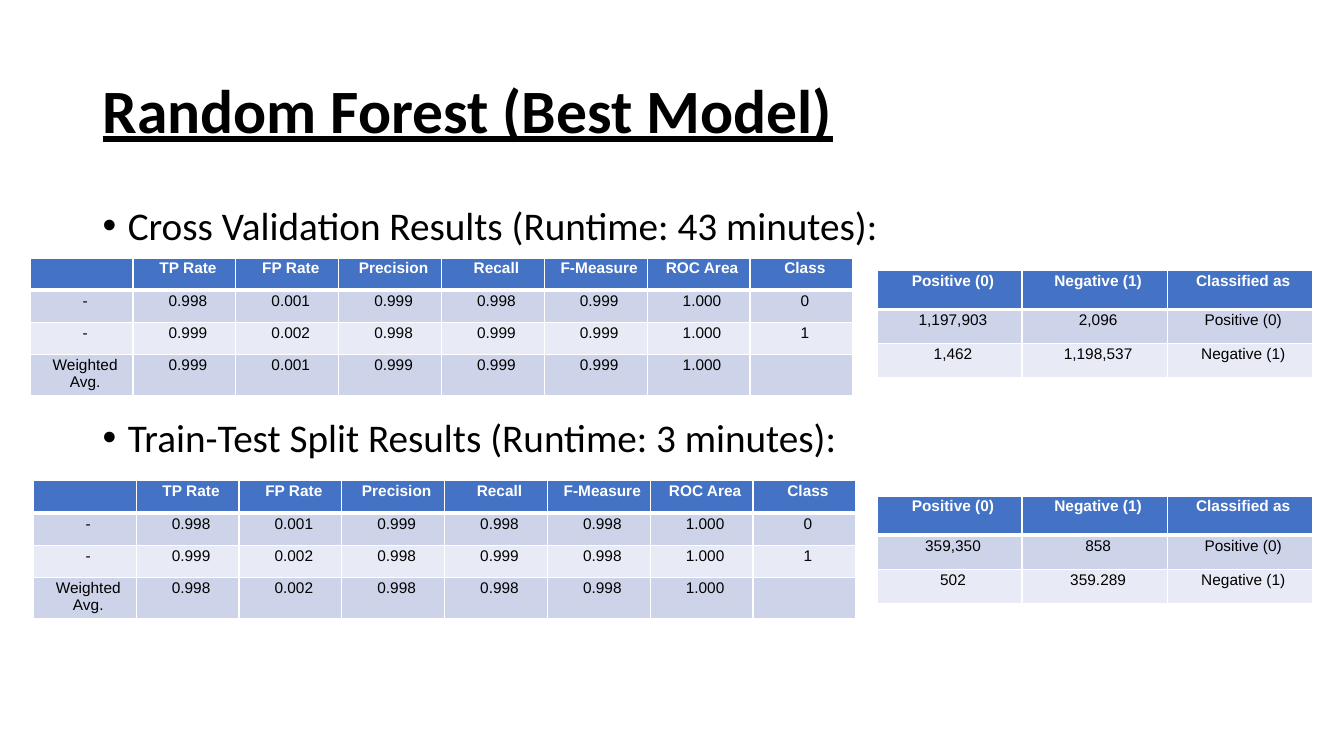
from dataclasses import dataclass

import lxml.etree
import pptx
import pptx.dml.color
import pptx.enum.text
import pptx.oxml.ns
import pptx.util

Inches, Pt = pptx.util.Inches, pptx.util.Pt
RGB = pptx.dml.color.RGBColor.from_string
Align = pptx.enum.text.PP_ALIGN
Anchor = pptx.enum.text.MSO_ANCHOR
qn = pptx.oxml.ns.qn


@dataclass(frozen=True)
class Theme:
    """Colours, fonts and type sizes of the slide."""
    ink: str = "000000"
    white: str = "FFFFFF"
    header: str = "4472C4"
    bands: tuple[str, str] = ("CDD4EA", "E8EBF5")
    text_font: str = "Calibri"
    table_font: str = "Arial"
    title_size: int = 44
    body_size: int = 28
    table_size: int = 11


@dataclass(frozen=True)
class Grid:
    """Column and row sizes of one kind of table, in percent of the slide."""
    header: tuple[str, ...]
    col: float
    header_row: float
    row: float


@dataclass(frozen=True)
class Results:
    """One filled table, placed in percent of the slide."""
    grid: Grid
    left: float
    top: float
    rows: tuple[tuple[str, ...], ...]


THEME = Theme()
WIDTH, HEIGHT = Inches(13.33), Inches(7.5)
TEXT_LEFT, TEXT_WIDTH = 6.9, 86.27
MATRIX_LEFT = 65.25

METRICS = Grid(("", "TP Rate", "FP Rate", "Precision", "Recall", "F-Measure",
                "ROC Area", "Class"), 7.65, 4.27, 4.27)
MATRIX = Grid(("Positive (0)", "Negative (1)", "Classified as"), 10.8, 5.2, 4.53)

TABLES = (
    Results(METRICS, 2.25, 34.13, (
        ("-", "0.998", "0.001", "0.999", "0.998", "0.999", "1.000", "0"),
        ("-", "0.999", "0.002", "0.998", "0.999", "0.999", "1.000", "1"),
        ("Weighted Avg.", "0.999", "0.001", "0.999", "0.999", "0.999", "1.000", ""))),
    Results(MATRIX, MATRIX_LEFT, 35.73, (
        ("1,197,903", "2,096", "Positive (0)"),
        ("1,462", "1,198,537", "Negative (1)"))),
    Results(METRICS, 2.48, 63.6, (
        ("-", "0.998", "0.001", "0.999", "0.998", "0.998", "1.000", "0"),
        ("-", "0.999", "0.002", "0.998", "0.999", "0.998", "1.000", "1"),
        ("Weighted Avg.", "0.998", "0.002", "0.998", "0.998", "0.998", "1.000", ""))),
    Results(MATRIX, MATRIX_LEFT, 65.6, (
        ("359,350", "858", "Positive (0)"),
        ("502", "359.289", "Negative (1)"))),
)

# Each bullet with the space above it in points, which leaves room for the tables.
BULLETS = (("Cross Validation Results (Runtime: 43 minutes):", 0),
           ("Train-Test Split Results (Runtime: 3 minutes):", 121))


def x(percent: float) -> int:
    """Return a share of the slide's width."""
    return round(WIDTH * percent / 100)


def y(percent: float) -> int:
    """Return a share of the slide's height."""
    return round(HEIGHT * percent / 100)


def add_run(p, text: str, font: str, size: int, color: str, bold: bool = False):
    """Append a styled run to a paragraph and return it."""
    r = p.add_run()
    r.text = text
    r.font.name, r.font.size, r.font.bold = font, Pt(size), bold
    r.font.color.rgb = RGB(color)
    return r


def add_text_frame(s, top: float, height: float):
    """Add a wrapping text box in the text column and return its frame."""
    tf = s.shapes.add_textbox(x(TEXT_LEFT), y(top), x(TEXT_WIDTH), y(height)).text_frame
    tf.word_wrap = True
    return tf


def add_title(s, text: str) -> None:
    """Add the underlined slide title."""
    tf = add_text_frame(s, 5.33, 19.33)
    tf.vertical_anchor = Anchor.MIDDLE
    p = tf.paragraphs[0]
    p.line_spacing = 0.9
    add_run(p, text, THEME.text_font, THEME.title_size, THEME.ink, True).font.underline = True


def add_bullets(s) -> None:
    """Add the bulleted headings of the two result groups."""
    tf = add_text_frame(s, 26.67, 63.47)
    for i, (text, space) in enumerate(BULLETS):
        p = tf.add_paragraph() if i else tf.paragraphs[0]
        p.line_spacing, p.space_before = 0.9, Pt(space)
        pPr = p._p.get_or_add_pPr()
        pPr.set("marL", str(Inches(0.25)))
        pPr.set("indent", str(-Inches(0.25)))
        lxml.etree.SubElement(pPr, qn("a:buFont")).set("typeface", THEME.table_font)
        lxml.etree.SubElement(pPr, qn("a:buChar")).set("char", "•")
        add_run(p, text, THEME.text_font, THEME.body_size, THEME.ink)


def set_borders(cell, row: int) -> None:
    """Draw white cell borders, thick between header and first data row."""
    widths = {"L": 1, "R": 1, "T": 3 if row == 1 else 1, "B": 3 if row == 0 else 1}
    tcPr = cell._tc.get_or_add_tcPr()
    for i, (side, width) in enumerate(widths.items()):
        ln = lxml.etree.Element(qn(f"a:ln{side}"), w=str(Pt(width)))
        fill = lxml.etree.SubElement(ln, qn("a:solidFill"))
        lxml.etree.SubElement(fill, qn("a:srgbClr")).set("val", THEME.white)
        tcPr.insert(i, ln)


def fill_cell(cell, text: str, row: int) -> None:
    """Style one table cell by its row and write its text."""
    is_header = row == 0
    cell.margin_left = cell.margin_right = Inches(0.02)
    cell.margin_top = cell.margin_bottom = Inches(0.02)
    cell.fill.solid()
    cell.fill.fore_color.rgb = RGB(THEME.header if is_header else THEME.bands[(row - 1) % 2])
    set_borders(cell, row)
    p = cell.text_frame.paragraphs[0]
    p.alignment = Align.CENTER
    p._p.get_or_add_pPr().set("marL", str(Inches(0.07)))
    if text:
        add_run(p, text, THEME.table_font, THEME.table_size,
                THEME.white if is_header else THEME.ink, is_header)
    else:
        end = lxml.etree.SubElement(p._p, qn("a:endParaRPr"))
        end.set("sz", str(THEME.table_size * 100))


def add_results(s, results: Results) -> None:
    """Add one results table with its header row."""
    grid = results.grid
    rows = (grid.header, *results.rows)
    heights = [grid.header_row] + [grid.row] * len(results.rows)
    table = s.shapes.add_table(len(rows), len(grid.header), x(results.left), y(results.top),
                               x(grid.col * len(grid.header)), y(sum(heights))).table
    table.first_row = table.horz_banding = False
    for column in table.columns:
        column.width = x(grid.col)
    for i, (texts, height) in enumerate(zip(rows, heights)):
        table.rows[i].height = y(height)
        for j, text in enumerate(texts):
            fill_cell(table.cell(i, j), text, i)


def main() -> None:
    """Build and save the slide."""
    prs = pptx.Presentation()
    prs.slide_width, prs.slide_height = WIDTH, HEIGHT
    s = prs.slides.add_slide(prs.slide_layouts[6])
    add_title(s, "Random Forest (Best Model)")
    add_bullets(s)
    for results in TABLES:
        add_results(s, results)
    prs.save("out.pptx")


main()
